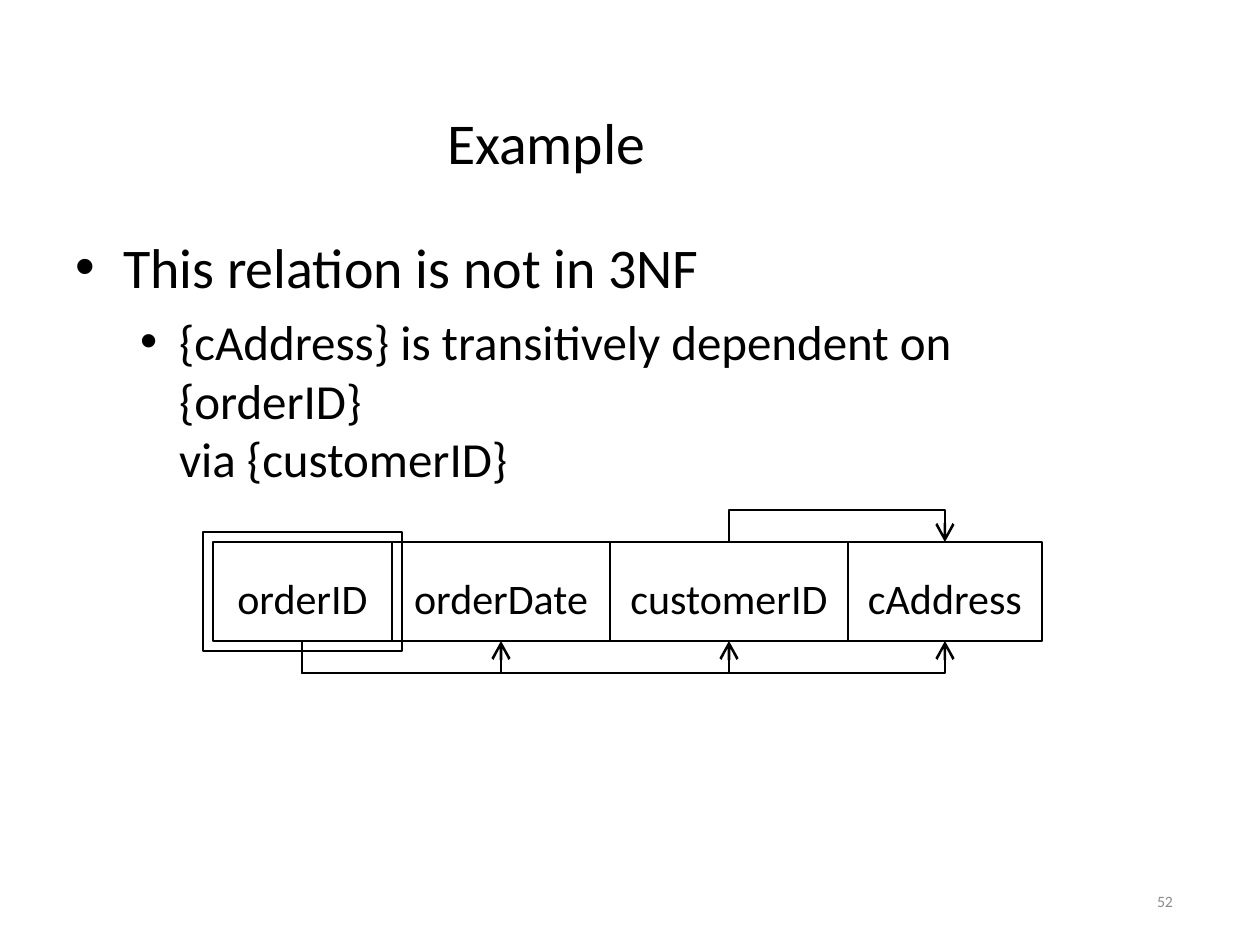
from itertools import pairwise
from lxml import etree
from pptx import Presentation, util as u
from pptx.dml.color import RGBColor
from pptx.enum import shapes, text
from pptx.oxml.ns import qn

PX = 914400 // 126
BLACK = "000000"


def color(value):
    return RGBColor.from_string(value)


def write(para, words, size, ink=BLACK):
    span = para.add_run()
    span.text = words
    span.font.name = "Calibri"
    span.font.size = u.Pt(size)
    span.font.color.rgb = color(ink)


deck = Presentation()
deck.slide_width, deck.slide_height = u.Inches(10), u.Inches(7.5)
page = deck.slides.add_slide(deck.slide_layouts[1])
title, body = page.placeholders
number = page.shapes.add_textbox(0, 0, 0, 0)

for box, area, anchor in [
    (title, (87, 50, 1086, 183), text.MSO_ANCHOR.MIDDLE),
    (body, (74, 232, 1073, 260), text.MSO_ANCHOR.TOP),
    (number, (890, 876, 283, 50), text.MSO_ANCHOR.MIDDLE),
]:
    box.left, box.top, box.width, box.height = [n * PX for n in area]
    frame = box.text_frame
    frame.margin_left = frame.margin_top = frame.margin_right = frame.margin_bottom = 0
    frame.word_wrap = True
    frame.auto_size = text.MSO_AUTO_SIZE.NONE
    frame.vertical_anchor = anchor

para = title.text_frame.paragraphs[0]
para.alignment = text.PP_ALIGN.LEFT
para._p.get_or_add_pPr().set("marL", str(360 * PX))
write(para, "Example", 33)

para = number.text_frame.paragraphs[0]
para.alignment = text.PP_ALIGN.RIGHT
write(para, "52", 9, "8C8C8C")

body.text_frame.margin_right = 12 * PX
points = [
    ("This relation is not in 3NF", 0, 32, 49, -48, 0),
    ("{cAddress} is transitively dependent on {orderID}", 1, 28, 105, -39, 6.9),
    ("via {customerID}", 1, 28, 105, 0, 0),
]
for index, (words, level, size, margin, indent, gap) in enumerate(points):
    para = body.text_frame.add_paragraph() if index else body.text_frame.paragraphs[0]
    para.level = level
    para.space_before = u.Pt(gap)
    props = para._p.get_or_add_pPr()
    props.set("marL", str(margin * PX))
    props.set("indent", str(indent * PX))
    if indent:
        etree.SubElement(props, qn("a:buFont")).set("typeface", "Arial")
        etree.SubElement(props, qn("a:buChar")).set("char", "•")
    else:
        etree.SubElement(props, qn("a:buNone"))
    write(para, words, size)

top, bottom, key_gap, reach = 542, 641, 10, 32
edges = [213, 392, 610, 848, 1042]
columns = ["orderID", "orderDate", "customerID", "cAddress"]
cells = [(left, top, right, bottom, name) for (left, right), name in zip(pairwise(edges), columns)]
key = (edges[0] - key_gap, top - key_gap, edges[1] + key_gap, bottom + key_gap, "")
for left, upper, right, lower, name in [key] + cells:
    cell = page.shapes.add_shape(
        shapes.MSO_SHAPE.RECTANGLE, left * PX, upper * PX, (right - left) * PX, (lower - upper) * PX
    )
    cell.shadow.inherit = False
    cell.fill.background()
    cell.line.color.rgb = color(BLACK)
    cell.line.width = u.Pt(1.5)
    if name:
        frame = cell.text_frame
        frame.margin_left = frame.margin_right = frame.margin_bottom = 0
        frame.margin_top = 12 * PX
        frame.word_wrap = False
        frame.vertical_anchor = text.MSO_ANCHOR.MIDDLE
        frame.paragraphs[0].alignment = text.PP_ALIGN.CENTER
        write(frame.paragraphs[0], name, 24)

centers = {name: (left + right) // 2 for left, _, right, _, name in cells}
dependencies = [
    ("orderID", "orderDate", bottom, reach),
    ("orderID", "customerID", bottom, reach),
    ("customerID", "cAddress", top, -reach),
    ("orderID", "cAddress", bottom, reach),
]
for source, target, side, offset in dependencies:
    start, end = centers[source], centers[target]
    builder = page.shapes.build_freeform(start, side, scale=PX)
    builder.add_line_segments([(start, side + offset), (end, side + offset), (end, side)], close=False)
    arrow = builder.convert_to_shape()
    arrow.shadow.inherit = False
    arrow.fill.background()
    arrow.line.color.rgb = color(BLACK)
    arrow.line.width = u.Pt(1.5)
    head = etree.SubElement(arrow.line._get_or_add_ln(), qn("a:tailEnd"))
    for name, value in [("type", "arrow"), ("w", "lg"), ("len", "lg")]:
        head.set(name, value)

deck.save("out.pptx")
